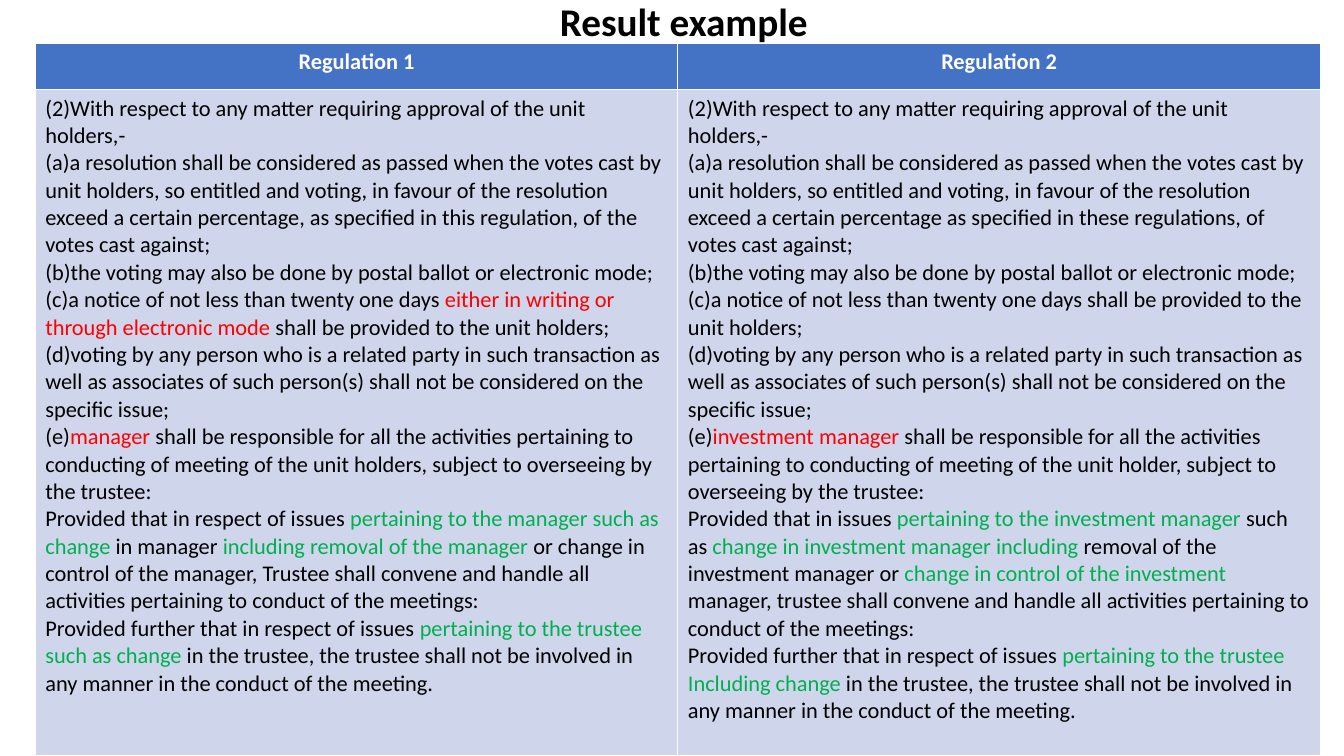
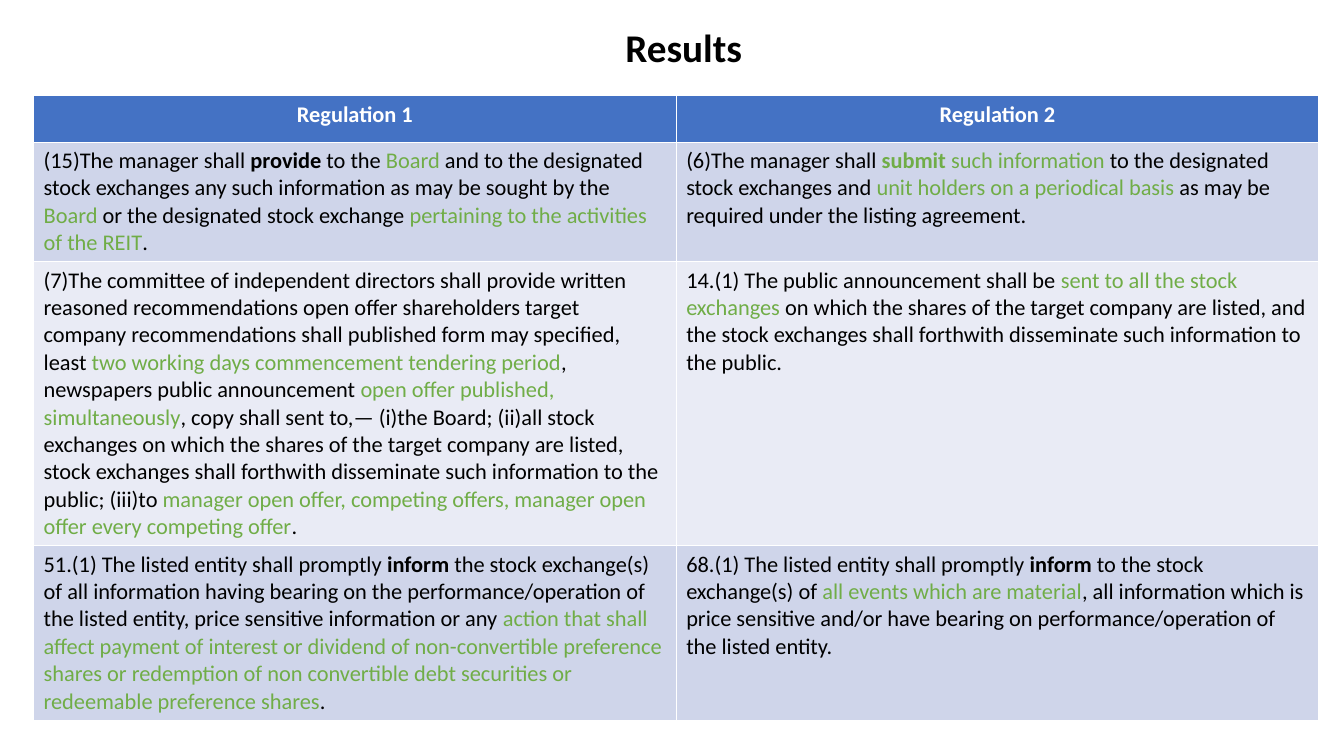
from dataclasses import dataclass

from pptx import Presentation
from pptx.dml.color import RGBColor
from pptx.enum.text import MSO_ANCHOR, MSO_AUTO_SIZE, PP_ALIGN
from pptx.util import Inches, Pt


class Theme:
    font = "Calibri"
    title_size = Pt(28)
    table_size = Pt(16)
    text = RGBColor.from_string("000000")
    header_text = RGBColor.from_string("FFFFFF")
    header_fill = RGBColor.from_string("4472C4")
    bands = [RGBColor.from_string(code) for code in ("CFD5EA", "E9EBF5")]
    red = RGBColor.from_string("FF0000")
    green = RGBColor.from_string("00B050")
    soft_green = RGBColor.from_string("70AD47")


@dataclass
class Span:
    text: str
    color: RGBColor = Theme.text
    bold: bool = False


def red(text):
    return Span(text, Theme.red)


def green(text):
    return Span(text, Theme.green)


def soft(text, bold=False):
    return Span(text, Theme.soft_green, bold)


def strong(text):
    return Span(text, bold=True)


class Deck:
    """Places elements on a grid of 80 columns by 150 rows."""

    columns, rows = 80, 150

    def __init__(self):
        self.presentation = Presentation()
        self.presentation.slide_width = Inches(13.33)
        self.presentation.slide_height = Inches(7.5)
        self.slide = None

    def across(self, count):
        return round(self.presentation.slide_width * count / self.columns)

    def down(self, count):
        return round(self.presentation.slide_height * count / self.rows)

    def add_spans(self, paragraph, spans, size, alignment=PP_ALIGN.LEFT):
        paragraph.alignment = alignment
        paragraph.font.name = Theme.font
        paragraph.font.size = size
        for span in spans:
            if isinstance(span, str):
                span = Span(span)
            run = paragraph.add_run()
            run.text = span.text
            run.font.bold = span.bold
            run.font.color.rgb = span.color

    def add_slide(self, title, top):
        layout = self.presentation.slide_layouts.get_by_name("Title Only")
        self.slide = self.presentation.slides.add_slide(layout)
        shape = self.slide.shapes.title
        shape.left, shape.top = self.across(6.2), self.down(top)
        shape.width, shape.height = self.across(69), self.down(7.6)
        frame = shape.text_frame
        frame.auto_size = MSO_AUTO_SIZE.NONE
        frame.vertical_anchor = MSO_ANCHOR.MIDDLE
        paragraph = frame.paragraphs[0]
        paragraph.line_spacing = 0.9
        self.add_spans(paragraph, [strong(title)], Theme.title_size, PP_ALIGN.CENTER)

    def fill_cell(self, cell, paragraphs, fill, alignment=PP_ALIGN.LEFT):
        cell.fill.solid()
        cell.fill.fore_color.rgb = fill
        frame = cell.text_frame
        for index, spans in enumerate(paragraphs):
            paragraph = frame.add_paragraph() if index else frame.paragraphs[0]
            self.add_spans(paragraph, spans, Theme.table_size, alignment)

    def add_comparison(self, left, top, body, heights):
        """Adds a two-column table; each body cell is a list of paragraphs."""
        headings = ["Regulation 1", "Regulation 2"]
        heights = [9.2, *heights]
        table = self.slide.shapes.add_table(
            len(heights), len(headings), self.across(left), self.down(top),
            self.across(76.5), self.down(sum(heights))).table
        for row, height in zip(table.rows, heights):
            row.height = self.down(height)
        for column, heading in enumerate(headings):
            self.fill_cell(table.cell(0, column),
                           [[Span(heading, Theme.header_text, True)]],
                           Theme.header_fill, PP_ALIGN.CENTER)
        for row, cells in enumerate(body):
            for column, paragraphs in enumerate(cells):
                self.fill_cell(table.cell(row + 1, column), paragraphs,
                               Theme.bands[row % len(Theme.bands)])


APPROVAL = ["(2)With respect to any matter requiring approval of the unit holders,-"]
BALLOT = ["(b)the voting may also be done by postal ballot or electronic mode;"]
RELATED_PARTY = [
    "(d)voting by any person who is a related party in such transaction as well "
    "as associates of such person(s) shall not be considered on the specific issue;"]
RESOLUTION = (
    "(a)a resolution shall be considered as passed when the votes cast by unit "
    "holders, so entitled and voting, in favour of the resolution exceed a "
    "certain percentage")
NOTICE = "(c)a notice of not less than twenty one days "
RESPONSIBLE = (
    " shall be responsible for all the activities pertaining to conducting of "
    "meeting of the unit ")
CONVENE = (
    "rustee shall convene and handle all activities pertaining to conduct of "
    "the meetings:")
FURTHER = "Provided further that in respect of issues "
NOT_INVOLVED = (
    " in the trustee, the trustee shall not be involved in any manner in the "
    "conduct of the meeting.")

MEETING_RULES = [[
    [
        APPROVAL,
        [RESOLUTION + ", as specified in this regulation, of the votes cast against;"],
        BALLOT,
        [NOTICE, red("either in writing or through electronic mode"),
         " shall be provided to the unit holders;"],
        RELATED_PARTY,
        ["(e)", red("manager"),
         RESPONSIBLE + "holders, subject to overseeing by the trustee:"],
        ["Provided that in respect of issues ",
         green("pertaining to the manager such as change"), " in manager ",
         green("including removal of the manager"),
         " or change in control of the manager, T" + CONVENE],
        [FURTHER, green("pertaining to the trustee such as change"), NOT_INVOLVED],
    ],
    [
        APPROVAL,
        [RESOLUTION + " as specified in these regulations, of votes cast against;"],
        BALLOT,
        [NOTICE + "shall be provided to the unit holders;"],
        RELATED_PARTY,
        ["(e)", red("investment manager"),
         RESPONSIBLE + "holder, subject to overseeing by the trustee:"],
        ["Provided that in issues ", green("pertaining to the investment manager"),
         " such as ", green("change in investment manager including"),
         " removal of the investment manager or ",
         green("change in control of the investment"), " manager, t" + CONVENE],
        [FURTHER, green("pertaining to the trustee Including change"), NOT_INVOLVED],
    ],
]]

DISCLOSURE_RULES = [
    [
        [["(15)The manager shall ", strong("provide"), " to the ", soft("Board"),
          " and to the designated stock exchanges any such information as may be "
          "sought by the ", soft("Board"), " or the designated stock exchange ",
          soft("pertaining to the activities of the REIT"), "."]],
        [["(6)The manager shall ", soft("submit", bold=True),
          soft(" such information"), " to the designated stock exchanges and ",
          soft("unit holders on a periodical basis"),
          " as may be required under the listing agreement."]],
    ],
    [
        [["(7)The committee of independent directors shall provide written "
          "reasoned recommendations open offer shareholders target company "
          "recommendations shall published form may specified, least ",
          soft("two working days commencement tendering period"),
          ", newspapers public announcement ",
          soft("open offer published, simultaneously"),
          ", copy shall sent to,— (i)the Board; (ii)all stock exchanges on which "
          "the shares of the target company are listed, stock exchanges shall "
          "forthwith disseminate such information to the public; (iii)to ",
          soft("manager open offer, competing offers, manager open offer every "
               "competing offer"), "."]],
        [["14.(1) The public announcement shall be ",
          soft("sent to all the stock exchanges"),
          " on which the shares of the target company are listed, and the stock "
          "exchanges shall forthwith disseminate such information to the public."]],
    ],
    [
        [["51.(1) The listed entity shall promptly ", strong("inform"),
          " the stock exchange(s) of all information having bearing on the "
          "performance/operation of the listed entity, price sensitive "
          "information or any ",
          soft("action that shall affect payment of interest or dividend of "
               "non-convertible preference shares or redemption of non "
               "convertible debt securities or redeemable preference shares"),
          "."]],
        [["68.(1) The listed entity shall promptly ", strong("inform"),
          " to the stock exchange(s) of ", soft("all events which are material"),
          ", all information which is price sensitive and/or have bearing on "
          "performance/operation of the listed entity."]],
    ],
]


def main():
    deck = Deck()
    deck.add_slide("Result example", top=1)
    deck.add_comparison(2.1, 8.6, MEETING_RULES, [132.2])
    deck.add_slide("Results", top=6)
    deck.add_comparison(2, 19, DISCLOSURE_RULES, [23.6, 56.2, 34.6])
    deck.presentation.save("out.pptx")


if __name__ == "__main__":
    main()
